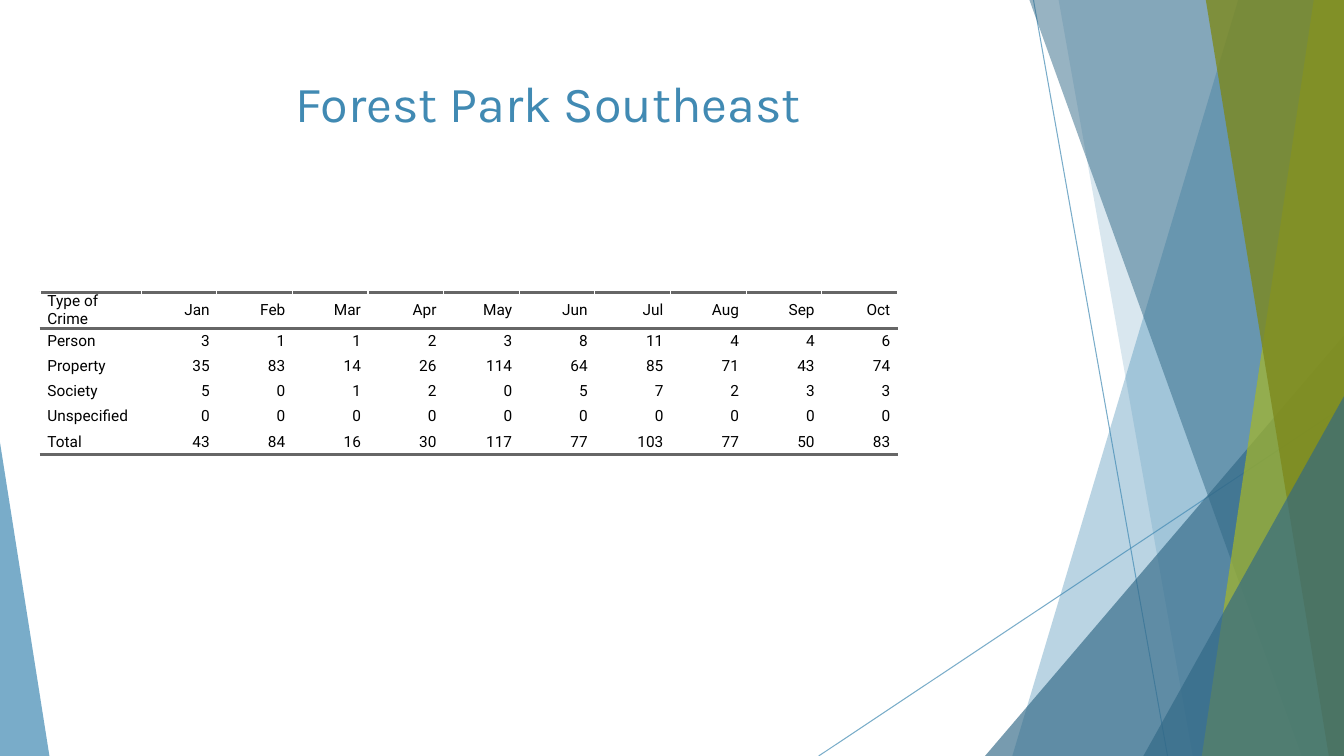
"""Build the Forest Park Southeast crime table slide."""
from lxml import etree
from pptx import Presentation
from pptx.dml.color import RGBColor
from pptx.enum.shapes import MSO_CONNECTOR, MSO_SHAPE
from pptx.enum.text import MSO_ANCHOR, PP_ALIGN
from pptx.oxml.ns import qn
from pptx.util import Inches, Pt

STRAIGHT = MSO_CONNECTOR.STRAIGHT
TRIANGLE = MSO_SHAPE.ISOSCELES_TRIANGLE
LEFT, CENTER, RIGHT = PP_ALIGN.LEFT, PP_ALIGN.CENTER, PP_ALIGN.RIGHT
TOP, MIDDLE = MSO_ANCHOR.TOP, MSO_ANCHOR.MIDDLE

THEME = {
    "blue": "418AB3", "navy": "316886", "lime": "A6B727", "olive": "7D891D",
    "rule": "666666", "ink": "000000",
    "title_font": "Karla", "title_size": 36,
    "cell_font": "Roboto", "cell_size": 11,
    "rule_width": 2, "line_width": 0.75,
}
WIDTH, HEIGHT = 13.33, 7.5

TITLE = "Forest Park Southeast"
CRIMES = [
    ("Type of Crime", "Jan", "Feb", "Mar", "Apr", "May", "Jun", "Jul", "Aug", "Sep", "Oct"),
    ("Person", 3, 1, 1, 2, 3, 8, 11, 4, 4, 6),
    ("Property", 35, 83, 14, 26, 114, 64, 85, 71, 43, 74),
    ("Society", 5, 0, 1, 2, 0, 5, 7, 2, 3, 3),
    ("Unspecified", 0, 0, 0, 0, 0, 0, 0, 0, 0, 0),
    ("Total", 43, 84, 16, 30, 117, 77, 103, 77, 50, 83),
]
LINES = [(10.25, 0, 11.58, 7.5), (13.33, 4.03, 8.12, 7.5)]
# band: top x, bottom x; triangle: left, width, height, apex
FACETS = [
    ("band", (12.28, 10.04), "blue", 36),
    ("band", (10.5, 11.83), "blue", 20),
    ("triangle", (9.77, 3.56, 4.17, 1), "navy", 66),
    ("band", (10.21, 12.91), "navy", 50),
    ("band", (13.03, 11.92), "lime", 70),
    ("band", (11.96, 13.18), "olive", 80),
    ("triangle", (11.34, 1.99, 3.57, 1), "navy", 66),
    ("triangle", (0, 0.49, 3.11, 0), "blue", 70),
]


def rgb(name):
    return RGBColor.from_string(THEME[name])


def set_alpha(element, percent):
    color = next(element.iter(qn("a:srgbClr")))
    etree.SubElement(color, qn("a:alpha"), val=str(percent * 1000))


def write(tf, text, *, font, size, color, align=LEFT, space=None):
    p = tf.paragraphs[0]
    p.alignment = align
    if space is not None:
        p.space_before = p.space_after = Pt(space)
    r = p.add_run()
    r.text = text
    r.font.name, r.font.size = font, Pt(size)
    r.font.color.rgb = rgb(color)
    return p


def add_line(s, ends):
    line = s.shapes.add_connector(STRAIGHT, *map(Inches, ends))
    line.line.color.rgb = rgb("blue")
    line.line.width = Pt(THEME["line_width"])
    sp_pr = line._element.spPr
    set_alpha(sp_pr, 70)
    etree.SubElement(sp_pr, qn("a:effectLst"))


def add_facet(s, kind, geometry, color, alpha):
    if kind == "band":
        top, bottom = geometry
        builder = s.shapes.build_freeform(Inches(top), 0)
        corners = [(WIDTH, 0), (WIDTH, HEIGHT), (bottom, HEIGHT)]
        builder.add_line_segments([(Inches(x), Inches(y)) for x, y in corners])
        sp = builder.convert_to_shape()
    else:
        left, width, height, apex = geometry
        sp = s.shapes.add_shape(TRIANGLE, Inches(left), Inches(HEIGHT - height),
                                Inches(width), Inches(height))
        sp.adjustments[0] = apex
    sp.shadow.inherit = False
    sp.fill.solid()
    sp.fill.fore_color.rgb = rgb(color)
    set_alpha(sp._element.spPr, alpha)
    sp.line.fill.background()


def add_rule(cell, side):
    ln = etree.SubElement(cell._tc.get_or_add_tcPr(), qn(f"a:{side}"),
                          w=str(Pt(THEME["rule_width"])))
    fill = etree.SubElement(ln, qn("a:solidFill"))
    etree.SubElement(fill, qn("a:srgbClr"), val=THEME["rule"])


def add_crime_table(s):
    rows, cols = len(CRIMES), len(CRIMES[0])
    widths = [1] + [0.75] * (cols - 1)
    frame = s.shapes.add_table(rows, cols, Inches(0.4), Inches(2.9),
                               Inches(sum(widths)), Inches(0.25 * rows))
    table = frame.table
    table.first_row = table.horz_banding = False
    for column, width in zip(table.columns, widths):
        column.width = Inches(width)
    for i, values in enumerate(CRIMES):
        table.rows[i].height = Inches(0.25)
        for j, value in enumerate(values):
            cell = table.cell(i, j)
            cell.margin_left = cell.margin_right = 0
            cell.margin_top = cell.margin_bottom = 0
            cell.vertical_anchor = MIDDLE
            p = write(cell.text_frame, str(value), font=THEME["cell_font"],
                      size=THEME["cell_size"], color="ink", space=5,
                      align=RIGHT if j else LEFT)
            p_pr = p._p.get_or_add_pPr()
            for side in ("marL", "marR"):
                p_pr.set(side, str(Inches(0.07)))
            p_pr.set("indent", "0")
            if i == 0:
                add_rule(cell, "lnT")
            if i in (0, rows - 1):
                add_rule(cell, "lnB")
            cell.fill.background()


def add_title(s):
    title = s.shapes.title
    title.left, title.top = Inches(0.74), Inches(0.67)
    title.width, title.height = Inches(9.4), Inches(1.44)
    tf = title.text_frame
    tf.word_wrap = True
    tf.vertical_anchor = TOP
    write(tf, TITLE, font=THEME["title_font"], size=THEME["title_size"],
          color="blue", align=CENTER)
    tree = title._element.getparent()
    tree.append(title._element)


def main():
    prs = Presentation()
    prs.slide_width, prs.slide_height = Inches(WIDTH), Inches(HEIGHT)
    s = prs.slides.add_slide(prs.slide_layouts[5])
    for ends in LINES:
        add_line(s, ends)
    for facet in FACETS:
        add_facet(s, *facet)
    add_crime_table(s)
    add_title(s)
    prs.save("out.pptx")


if __name__ == "__main__":
    main()
